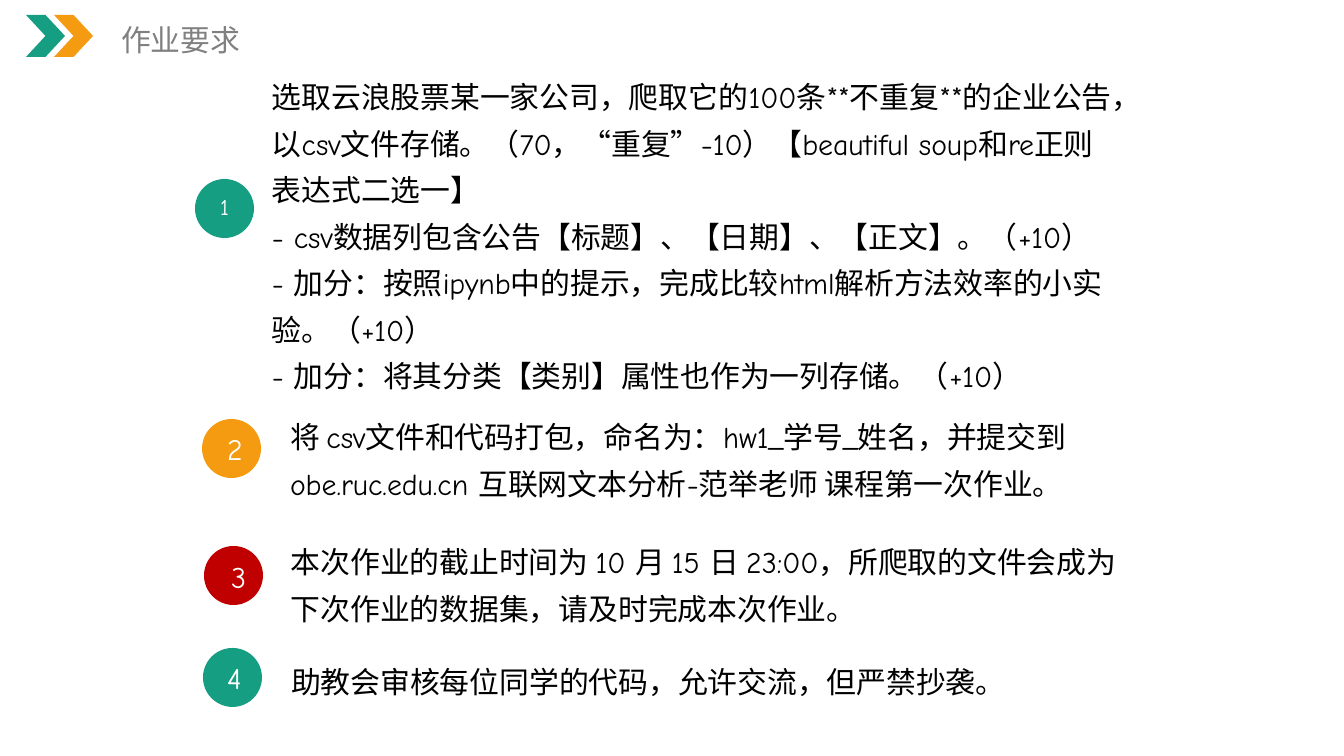
import pptx
import pptx.util
import pptx.dml.color
import pptx.enum.shapes
import pptx.enum.text

SCALE = 914400 / 134.4
KIND = pptx.enum.shapes.MSO_SHAPE
ANCHOR = pptx.enum.text.MSO_ANCHOR
ALIGN = pptx.enum.text.PP_ALIGN
GREEN, ORANGE, RED = "169E82", "F59B11", "C00000"


def draw(home, kind, box, fill=None):
    area = [pptx.util.Emu(round(n * SCALE)) for n in box]
    if kind is None:
        return home.add_textbox(*area)
    shape = home.add_shape(kind, *area)
    shape.shadow.inherit = False
    shape.fill.solid()
    shape.fill.fore_color.rgb = pptx.dml.color.RGBColor.from_string(fill)
    shape.line.fill.background()
    return shape


def write(shape, lines, color="000000", size=16, align=ALIGN.LEFT, space=None, wrap=True):
    frame = shape.text_frame
    frame.word_wrap = wrap
    frame.text = "\n".join(lines)
    for para in frame.paragraphs:
        para.alignment = align
        para.line_spacing = space
        para.font.size = pptx.util.Pt(size)
        para.font.name = "Comic Neue"
        para.font.color.rgb = pptx.dml.color.RGBColor.from_string(color)
    return frame


deck = pptx.Presentation()
deck.slide_width = round(1344 * SCALE)
deck.slide_height = round(756 * SCALE)
slide = deck.slides.add_slide(deck.slide_layouts[6])
shapes = slide.shapes

for left, color in [(26, GREEN), (54, ORANGE)]:
    draw(shapes, KIND.CHEVRON, (left, 15, 39, 42), color)

title = draw(shapes, None, (108, 15, 146, 50))
write(title, ["作业要求"], "808080", wrap=False)

badges = [
    ((195, 179), (207, 185), GREEN, None, 12),
    ((202, 419), (214, 427), ORANGE, None, 16),
    ((204, 546), (218, 555), RED, KIND.RECTANGLE, 16),
    ((203, 648), (214, 656), GREEN, KIND.RECTANGLE, 16),
]
for num, (disc, label, color, kind, size) in enumerate(badges, 1):
    group = shapes.add_group_shape().shapes
    draw(group, KIND.OVAL, (*disc, 59, 59), color)
    digit = draw(group, kind, (*label, 34, 43), color)
    frame = write(digit, [str(num)], "FFFFFF", size, ALIGN.CENTER)
    frame.vertical_anchor = ANCHOR.MIDDLE

tasks = [
    ((262, 63, 870, 339), [
        "选取云浪股票某一家公司，爬取它的100条**不重复**的企业公告，以csv文件存储。（70，“重复”-10）【beautiful soup和re正则表达式二选一】",
        "- csv数据列包含公告【标题】、【日期】、【正文】。（+10）",
        "- 加分：按照ipynb中的提示，完成比较html解析方法效率的小实验。（+10）",
        "- 加分：将其分类【类别】属性也作为一列存储。（+10）",
    ]),
    ((280, 403, 833, 104), [
        "将 csv文件和代码打包，命名为：hw1_学号_姓名，并提交到 obe.ruc.edu.cn 互联网文本分析-范举老师 课程第一次作业。",
    ]),
    ((281, 528, 870, 104), [
        "本次作业的截止时间为 10 月 15 日 23:00，所爬取的文件会成为下次作业的数据集，请及时完成本次作业。",
    ]),
]
for box, lines in tasks:
    frame = write(draw(shapes, None, box), lines, space=1.3)
    frame.margin_left = frame.margin_right = round(10 * SCALE)
    frame.margin_top = frame.margin_bottom = round(5 * SCALE)

note = draw(shapes, None, (278, 657, 833, 50))
write(note, ["助教会审核每位同学的代码，允许交流，但严禁抄袭。"])

deck.save("out.pptx")
